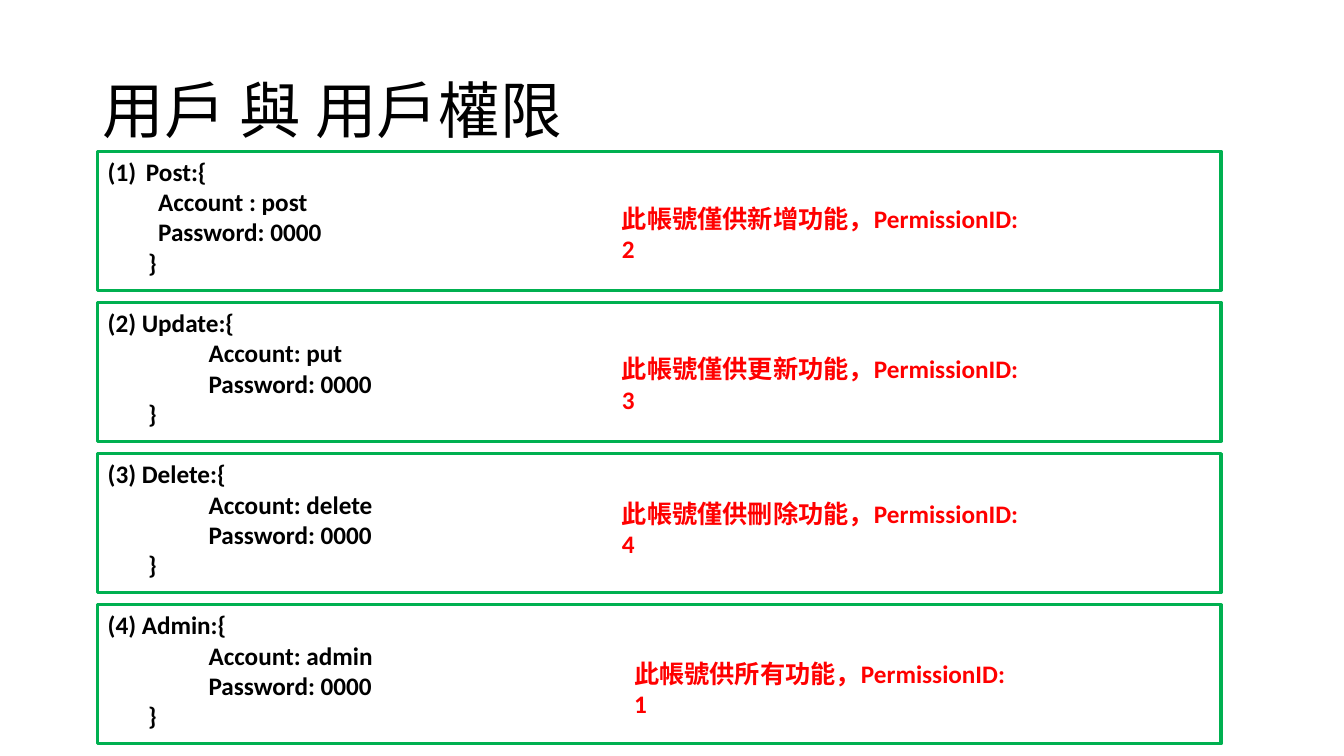
from dataclasses import dataclass

from lxml import etree
from pptx import Presentation
from pptx.dml.color import RGBColor
from pptx.enum.shapes import MSO_SHAPE
from pptx.enum.text import MSO_ANCHOR, PP_ALIGN
from pptx.oxml.ns import qn
from pptx.util import Inches, Pt

RECTANGLE = MSO_SHAPE.RECTANGLE
TOP, MIDDLE = MSO_ANCHOR.TOP, MSO_ANCHOR.MIDDLE
LEFT = PP_ALIGN.LEFT

FONT = "Calibri"
BLACK, RED, GREEN = "000000", "FF0000", "00B050"
CARD_LEFT, CARD_TOP, CARD_WIDTH, CARD_HEIGHT = 0.97, 1.5, 11.14, 1.38
CARD_PITCH = 1.5
BRACE_INDENT = 0.4
NUMBER_INDENT = 0.38


@dataclass
class Account:
    heading: str
    account: str
    note: str
    note_left: float
    note_top: float
    note_width: float
    field_indent: float = 1.0
    auto_number: bool = False


ACCOUNTS = [
    Account("Post:{", "Account : post", "此帳號僅供新增功能，PermissionID: 2",
            6.07, 1.97, 4.3, field_indent=0.5, auto_number=True),
    Account("(2) Update:{", "Account: put", "此帳號僅供更新功能，PermissionID: 3", 6.07, 3.46, 4.3),
    Account("(3) Delete:{", "Account: delete", "此帳號僅供刪除功能，PermissionID: 4", 6.07, 4.89, 4.3),
    Account("(4) Admin:{", "Account: admin", "此帳號供所有功能，PermissionID: 1", 6.19, 6.48, 4.05),
]


def color(value: str) -> RGBColor:
    return RGBColor.from_string(value)


def format_text(text_frame, size: float, font_color: str, bold: bool) -> None:
    for paragraph in text_frame.paragraphs:
        paragraph.alignment = LEFT
        for run in paragraph.runs:
            run.font.name = FONT
            run.font.size = Pt(size)
            run.font.bold = bold
            run.font.color.rgb = color(font_color)


def set_indent(paragraph, indent: float) -> None:
    paragraph._p.get_or_add_pPr().set("marL", str(Inches(indent)))


def add_number(paragraph) -> None:
    set_indent(paragraph, NUMBER_INDENT)
    properties = paragraph._p.get_or_add_pPr()
    properties.set("indent", str(-Inches(NUMBER_INDENT)))
    etree.SubElement(properties, qn("a:buAutoNum"), type="arabicParenBoth")


def add_card(slide, account: Account, top: float) -> None:
    card = slide.shapes.add_shape(RECTANGLE, Inches(CARD_LEFT), Inches(top),
                                  Inches(CARD_WIDTH), Inches(CARD_HEIGHT))
    card.shadow.inherit = False
    card.fill.background()
    card.line.color.rgb = color(GREEN)
    card.line.width = Pt(2.25)
    text_frame = card.text_frame
    text_frame.vertical_anchor = TOP
    text_frame.text = "\n".join([account.heading, account.account, "Password: 0000", "}"])
    format_text(text_frame, 18, BLACK, True)
    heading, *fields, brace = text_frame.paragraphs
    if account.auto_number:
        add_number(heading)
    for field in fields:
        set_indent(field, account.field_indent)
    set_indent(brace, BRACE_INDENT)


def add_note(slide, account: Account) -> None:
    note = slide.shapes.add_textbox(Inches(account.note_left), Inches(account.note_top),
                                    Inches(account.note_width), Inches(0.4))
    note.text_frame.word_wrap = True
    note.text_frame.text = account.note
    format_text(note.text_frame, 18, RED, True)


presentation = Presentation()
presentation.slide_width = Inches(13.33)
presentation.slide_height = Inches(7.5)
slide = presentation.slides.add_slide(presentation.slide_layouts[5])

# Title
title = slide.shapes.title
title.left, title.top = Inches(0.92), Inches(0.4)
title.width, title.height = Inches(11.5), Inches(1.45)
title.text_frame.text = "用戶 與 用戶權限"
title.text_frame.vertical_anchor = MIDDLE
title.text_frame.paragraphs[0].line_spacing = 0.9
format_text(title.text_frame, 44, BLACK, False)

# Account cards with their permission notes
for index, account in enumerate(ACCOUNTS):
    add_card(slide, account, CARD_TOP + index * CARD_PITCH)
    add_note(slide, account)

presentation.save("out.pptx")
